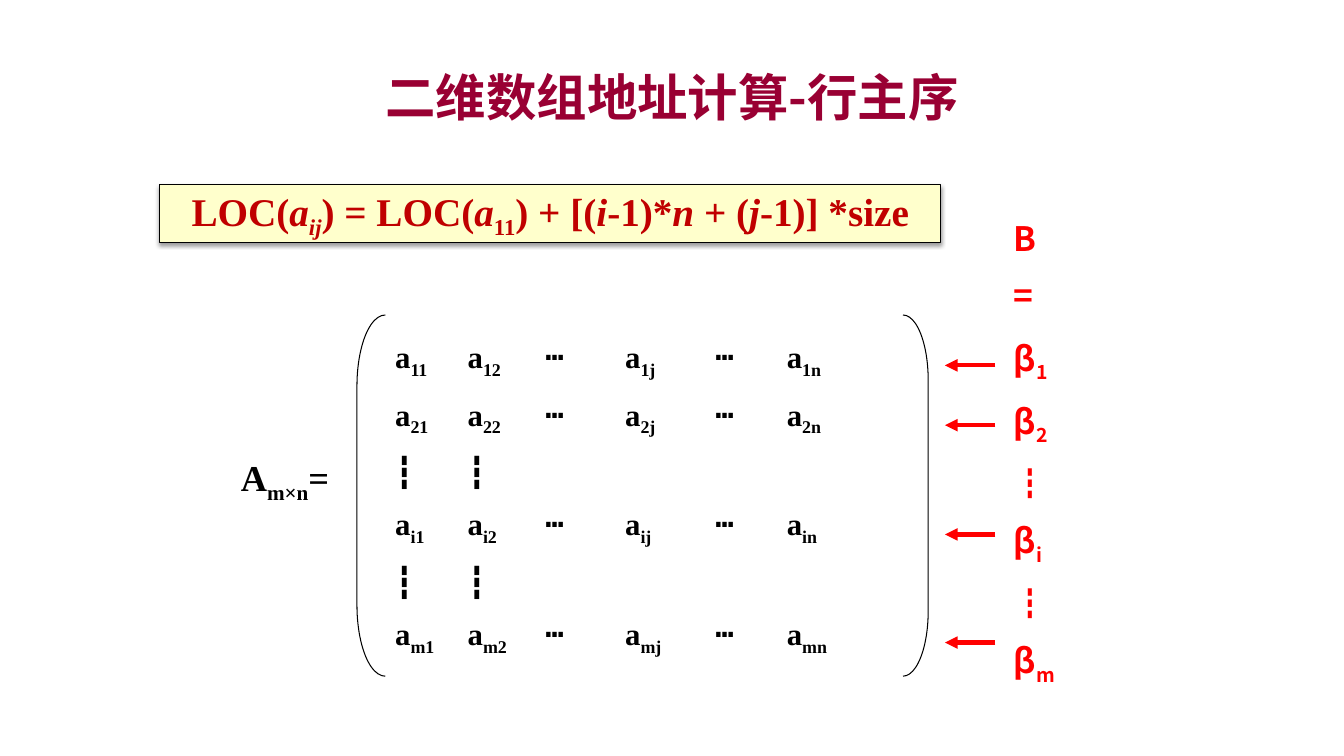
"""Build the slide on row-major addresses of a two-dimensional array."""
from dataclasses import dataclass

from lxml.etree import SubElement
from pptx import Presentation
from pptx.dml.color import RGBColor
from pptx.enum.shapes import MSO_CONNECTOR, MSO_SHAPE
from pptx.enum.text import MSO_ANCHOR, MSO_AUTO_SIZE, PP_ALIGN
from pptx.oxml.ns import qn
from pptx.util import Pt

EMU_PER_PX = 9525


def px(length):
    return length * EMU_PER_PX


@dataclass(frozen=True)
class TextStyle:
    font: str
    size: int
    color: str


@dataclass(frozen=True)
class Theme:
    cjk: str = "Noto Sans CJK SC"
    serif: str = "Times New Roman"
    ink: str = "000000"
    red: str = "FF0000"
    cream: str = "FFFFCC"
    thin: float = 0.75
    thick: float = 3
    title: TextStyle = TextStyle(cjk, 36, "990033")
    formula: TextStyle = TextStyle(serif, 28, "C00000")
    label: TextStyle = TextStyle(serif, 26, ink)
    matrix: TextStyle = TextStyle(serif, 22, ink)
    vector: TextStyle = TextStyle(cjk, 24, red)


class SlideBuilder:
    def __init__(self, slide, theme):
        self.slide = slide
        self.theme = theme

    def add_runs(self, paragraph, parts, style):
        for wording, kind in parts:
            run = paragraph.add_run()
            run.text = wording
            run.font.size = Pt(style.size)
            run.font.bold = True
            run.font.italic = "i" in kind
            run.font.color.rgb = RGBColor.from_string(style.color)
            run.font.name = style.font
            properties = run._r.get_or_add_rPr()
            if style.font == self.theme.cjk:
                SubElement(properties, qn("a:ea"), typeface=style.font)
            if "_" in kind:
                properties.set("baseline", "-25000")

    def title(self, box, wording):
        heading = self.slide.shapes.title
        heading.left, heading.top, heading.width, heading.height = map(px, box)
        heading.text_frame.vertical_anchor = MSO_ANCHOR.MIDDLE
        paragraph = heading.text_frame.paragraphs[0]
        paragraph.alignment = PP_ALIGN.CENTER
        self.add_runs(paragraph, [(wording, "")], self.theme.title)

    def text(self, box, lines, style, gap=None, tabs=()):
        frame = self.slide.shapes.add_textbox(*map(px, box)).text_frame
        frame.word_wrap = True
        frame.auto_size = MSO_AUTO_SIZE.SHAPE_TO_FIT_TEXT
        for index, parts in enumerate(lines):
            paragraph = frame.add_paragraph() if index else frame.paragraphs[0]
            properties = paragraph._p.get_or_add_pPr()
            if gap:
                paragraph.space_before = Pt(gap)
            else:
                before = SubElement(properties, qn("a:spcBef"))
                SubElement(before, qn("a:spcPct"), val="50000")
            if tabs:
                stops = SubElement(properties, qn("a:tabLst"))
                for stop in tabs:
                    SubElement(stops, qn("a:tab"), pos=str(px(stop)), algn="l")
            self.add_runs(paragraph, parts, style)

    def outline(self, preset, box):
        shape = self.slide.shapes.add_shape(preset, *map(px, box))
        shape.shadow.inherit = False
        shape.fill.background()
        shape.line.color.rgb = RGBColor.from_string(self.theme.ink)
        shape.line.width = Pt(self.theme.thin)
        return shape

    def bracket(self, preset, box, curve):
        self.outline(preset, box).adjustments[0] = curve

    def formula(self, box, parts):
        panel = self.outline(MSO_SHAPE.RECTANGLE, box)
        panel.fill.solid()
        panel.fill.fore_color.rgb = RGBColor.from_string(self.theme.cream)
        effects = panel.element.spPr.find(qn("a:effectLst"))
        shadow = SubElement(effects, qn("a:outerShdw"), blurRad=str(Pt(3.1)),
                            dist=str(Pt(1.6)), dir="5400000", rotWithShape="0")
        tint = SubElement(shadow, qn("a:srgbClr"), val=self.theme.ink)
        SubElement(tint, qn("a:alpha"), val="38000")
        paragraph = panel.text_frame.paragraphs[0]
        paragraph.alignment = PP_ALIGN.CENTER
        self.add_runs(paragraph, parts, self.theme.formula)

    def arrow(self, start, end, y):
        pointer = self.slide.shapes.add_connector(
            MSO_CONNECTOR.STRAIGHT, px(start), px(y), px(end), px(y))
        pointer.line.color.rgb = RGBColor.from_string(self.theme.red)
        pointer.line.width = Pt(self.theme.thick)
        properties = pointer.element.spPr
        SubElement(properties.find(qn("a:ln")), qn("a:tailEnd"), type="triangle")
        SubElement(properties, qn("a:effectLst"))


def matrix_row(row):
    if row == "┇":
        return [("┇\t┇", "")]
    parts = [("a", ""), (f"{row}1", "_")]
    for lead, column in (("\ta", "2"), ("\t┅\ta", "j"), ("\t┅\ta", "n")):
        parts += [(lead, ""), (row + column, "_")]
    return parts


def vector_row(row):
    return [("┇", "")] if row == "┇" else [("β", ""), (row, "_")]


def main():
    deck = Presentation()
    deck.slide_width, deck.slide_height = px(1280), px(720)
    theme = Theme()
    builder = SlideBuilder(deck.slides.add_slide(deck.slide_layouts[5]), theme)
    rows = ["1", "2", "┇", "i", "┇", "m"]

    builder.title((96, 56, 1088, 72), "二维数组地址计算-行主序")
    builder.bracket(MSO_SHAPE.LEFT_BRACKET, (340, 300, 27, 344), 2.5)
    builder.text((220, 429, 120, 52),
                 [[("A", ""), ("m×n", "_"), ("=", "")]], theme.label)
    builder.text((367, 317, 501, 312), map(matrix_row, rows), theme.matrix,
                 tabs=(69, 143, 219, 305, 373))
    builder.bracket(MSO_SHAPE.RIGHT_BRACKET, (860, 300, 24, 344), 2.58)
    builder.text((956, 203, 56, 107), [[("B", "")], [("=", "")]], theme.vector)
    builder.text((956, 317, 104, 324), map(vector_row, rows), theme.vector, gap=12)
    for y in (348, 405, 509, 612):
        builder.arrow(948, 900, y)
    builder.formula((152, 176, 744, 55), [
        ("LOC(", ""), ("a", "i"), ("ij", "i_"), (") = LOC(", ""),
        ("a", "i"), ("11", "_"), (") + [(", ""), ("i", "i"), ("-1)*", ""),
        ("n ", "i"), ("+ (", ""), ("j", "i"), ("-1)] *size", "")])
    deck.save("out.pptx")


if __name__ == "__main__":
    main()
